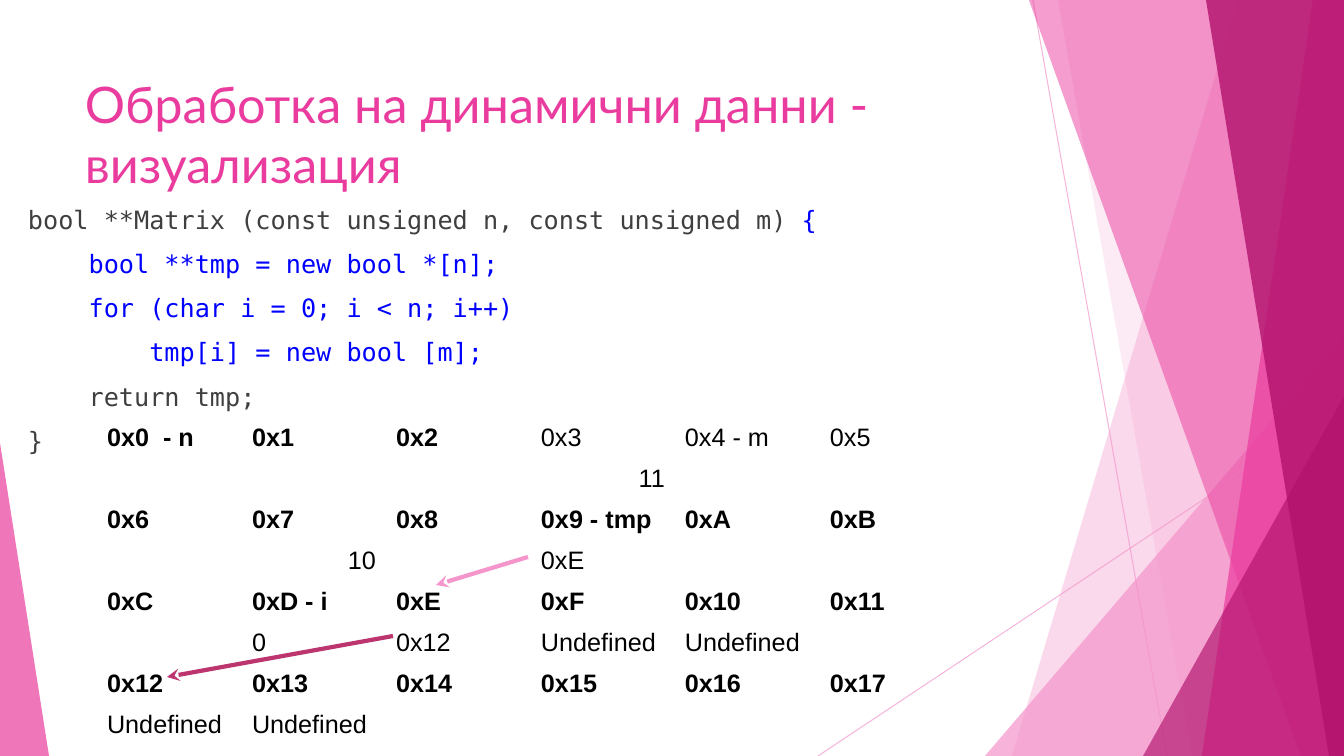
from lxml import etree
from pptx import Presentation
from pptx.dml.color import RGBColor
from pptx.enum.shapes import MSO_CONNECTOR, MSO_SHAPE
from pptx.enum.text import MSO_ANCHOR, PP_ALIGN
from pptx.oxml.ns import qn
from pptx.util import Emu, Pt

LINE = MSO_CONNECTOR.STRAIGHT
TRIANGLE = MSO_SHAPE.ISOSCELES_TRIANGLE
TOP, RIGHT = MSO_ANCHOR.TOP, PP_ALIGN.RIGHT

WIDTH, HEIGHT = 1344, 756
SCALE = 12192000 / WIDTH
LIGHT, PINK, DARK, ROSE = "F496CB", "EA3C9E", "B2126C", "BC356F"
GREY, BLUE, BLACK = "3F3F3F", "0000FF", "000000"
NO_STYLE = "{2D5ABB26-0587-4C30-8999-92F81FD0307C}"

# Slanted bands: top x, bottom x, colour, opacity in percent
BACK_BANDS = [(1238, 1012, LIGHT, 36), (1058, 1192, LIGHT, 20)]
FRONT_BANDS = [(1029, 1301, PINK, 50), (1313, 1202, PINK, 70),
               (1206, 1329, DARK, 80)]

CODE = [
    [("bool **Matrix (const unsigned n, const unsigned m) ", GREY), ("{", BLUE)],
    [("    bool **tmp = new bool *[n];", BLUE)],
    [("    for (char i = 0; i < n; i++)", BLUE)],
    [("        tmp[i] = new bool [m];", BLUE)],
    [("    return tmp;", GREY)],
    [("}", GREY)],
]

# Address rows alternate with value rows
COLUMNS = [145, 144, 145, 144, 145, 160]
ROW_HEIGHT = 41
MEMORY = [
    ["0x0  - n", "0x1", "0x2", "0x3", "0x4 - m", "0x5"],
    ["11", "", "", "", "", ""],
    ["0x6", "0x7", "0x8", "0x9 - tmp", "0xA", "0xB"],
    ["10", "", "", "0xЕ", "", ""],
    ["0xC", "0xD - i", "0xE", "0xF", "0x10", "0x11"],
    ["", "0", "0x12", "Undefined", "Undefined", ""],
    ["0x12", "0x13", "0x14", "0x15", "0x16", "0x17"],
    ["Undefined", "Undefined", "", "", "", ""],
]
PLAIN_ADDRESSES = {"0x3", "0x4 - m", "0x5"}
MERGES = [(1, 0, 3), (1, 4, 5), (3, 0, 1)]  # row, first column, last column
RIGHT_CELLS = {(1, 0), (3, 0)}


def px(n):
    return Emu(round(n * SCALE))


def rgb(color):
    return RGBColor.from_string(color)


def set_alpha(sp, percent):
    color = next(sp._element.spPr.iter(qn("a:srgbClr")))
    etree.SubElement(color, qn("a:alpha"), val=str(percent * 1000))


def fill_shape(sp, color, percent):
    sp.shadow.inherit = False
    sp.line.fill.background()
    sp.fill.solid()
    sp.fill.fore_color.rgb = rgb(color)
    set_alpha(sp, percent)


def add_band(s, top_x, bottom_x, color, percent):
    corners = [(WIDTH, 0), (WIDTH, HEIGHT), (bottom_x, HEIGHT)]
    builder = s.shapes.build_freeform(px(top_x), px(0))
    builder.add_line_segments([(px(x), px(y)) for x, y in corners], close=True)
    fill_shape(builder.convert_to_shape(), color, percent)


def add_triangle(s, x, y, w, apex, color, percent):
    sp = s.shapes.add_shape(TRIANGLE, px(x), px(y), px(w), px(HEIGHT - y))
    sp.adjustments[0] = apex
    fill_shape(sp, color, percent)


def add_line(s, start, end, color, width):
    sp = s.shapes.add_connector(LINE, *map(px, start + end))
    sp.line.color.rgb = rgb(color)
    sp.line.width = Pt(width)
    etree.SubElement(sp._element.spPr, qn("a:effectLst"))
    return sp


def add_arrow(s, start, end, color):
    sp = add_line(s, start, end, color, 3)
    ln = sp._element.spPr.find(qn("a:ln"))
    etree.SubElement(ln, qn("a:tailEnd"), type="stealth")


def add_run(p, text, size, font, color, bold=False):
    r = p.add_run()
    r.text = text
    r.font.size = Pt(size)
    r.font.name = font
    r.font.bold = bold
    r.font.color.rgb = rgb(color)


def add_text(s, x, y, w, h, lines, size, font):
    tf = s.shapes.add_textbox(px(x), px(y), px(w), px(h)).text_frame
    tf.word_wrap = True
    tf.vertical_anchor = TOP
    for i, runs in enumerate(lines):
        p = tf.add_paragraph() if i else tf.paragraphs[0]
        if i:
            p.space_before = Pt(10)
        for text, color in runs:
            add_run(p, text, size, font, color)


def add_memory_table(s, x, y):
    frame = s.shapes.add_table(len(MEMORY), len(COLUMNS), px(x), px(y),
                               px(sum(COLUMNS)), px(ROW_HEIGHT * len(MEMORY)))
    table = frame.table
    table.first_row = table.horz_banding = False
    table._tbl.tblPr.find(qn("a:tableStyleId")).text = NO_STYLE
    for column, width in zip(table.columns, COLUMNS):
        column.width = px(width)
    for i, row in enumerate(MEMORY):
        table.rows[i].height = px(ROW_HEIGHT)
        for j, text in enumerate(row):
            cell = table.cell(i, j)
            cell.fill.background()
            p = cell.text_frame.paragraphs[0]
            if (i, j) in RIGHT_CELLS:
                p.alignment = RIGHT
            if text:
                bold = i % 2 == 0 and text not in PLAIN_ADDRESSES
                add_run(p, text, 18, "Arial", BLACK, bold)
    for row, first, last in MERGES:
        table.cell(row, first).merge(table.cell(row, last))


def add_background(s):
    for start, end in [((1033, 0), (1167, HEIGHT)), ((WIDTH, 406), (818, HEIGHT))]:
        set_alpha(add_line(s, start, end, LIGHT, 0.75), 70)
    for band in BACK_BANDS:
        add_band(s, *band)
    add_triangle(s, 985, 336, 359, 1, LIGHT, 72)
    for band in FRONT_BANDS:
        add_band(s, *band)
    add_triangle(s, 1143, 396, 201, 1, DARK, 66)
    add_triangle(s, 0, 443, 49, 0, PINK, 70)


def main():
    prs = Presentation()
    prs.slide_width, prs.slide_height = px(WIDTH), px(HEIGHT)
    s = prs.slides.add_slide(prs.slide_layouts[6])

    add_background(s)

    # Title and code
    title = "Обработка на динамични данни - визуализация"
    add_text(s, 75, 68, 948, 145, [[(title, PINK)]], 36, "Lato")
    add_text(s, 18, 199, 1159, 480, CODE, 18, "DejaVu Sans Mono")

    # Memory cells and the pointers between them
    add_memory_table(s, 97, 419)
    add_arrow(s, (528, 557), (436, 585), LIGHT)
    add_arrow(s, (393, 636), (167, 677), ROSE)

    prs.save("out.pptx")


if __name__ == "__main__":
    main()
